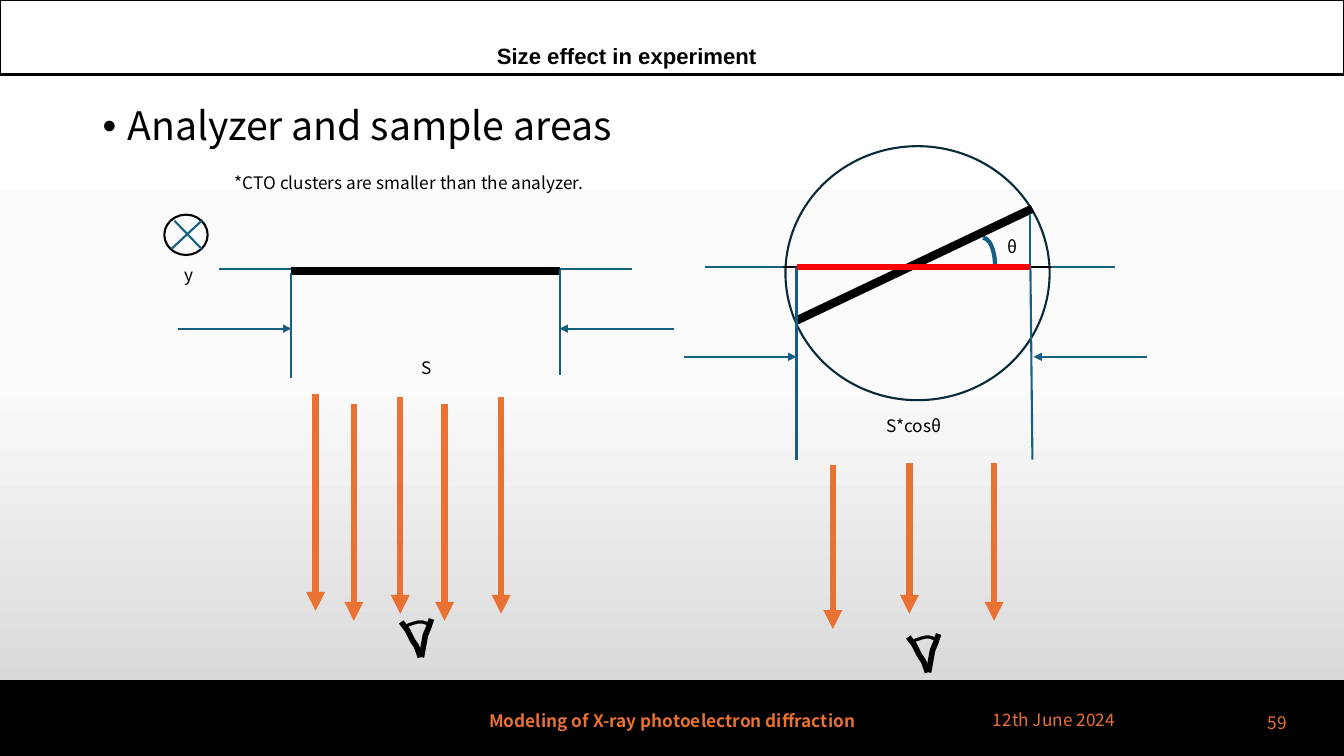
from copy import deepcopy
from pptx import Presentation
from pptx.dml.color import RGBColor
from pptx.enum.shapes import MSO_CONNECTOR, MSO_SHAPE
from pptx.enum.text import MSO_ANCHOR, PP_ALIGN
from pptx.oxml.ns import qn
from pptx.oxml.xmlchemy import OxmlElement
from pptx.util import Inches, Pt

INK = {"black": "000000", "white": "FFFFFF", "blue": "156082", "navy": "092A39",
       "red": "FF0000", "orange": "E97132"}
FADE = [(0, "FFFFFF"), (0.5, "FBFBFB"), (1, "D1D1D1")]
FONT = "Noto Sans CJK JP"
WIDE, HIGH, BAND = 13.33, 7.5, 0.74

TITLE = ("Size effect in experiment", 4.83, 0.3, 5.94, 0.41)
TOPIC = ("Analyzer and sample areas", 0.92, 1.01, 11.5, 4.76)
LABELS = [
    ("θ", 9.89, 2.29, 0.36, 0.31),
    ("S", 4.08, 3.5, 1.24, 0.31),
    ("S*cosθ", 8.69, 4.07, 1.24, 0.31),
    ("y", 1.73, 2.57, 0.35, 0.31),
    ("*CTO clusters are smaller than the analyzer.", 2.23, 1.66, 4.35, 0.31),
]
FOOTER = [
    ("12th June 2024", 9.75, 6.94, 1.83, 0.4, PP_ALIGN.LEFT, False),
    ("Modeling of X-ray photoelectron diffraction", 4.42, 6.95, 4.5, 0.4, PP_ALIGN.CENTER, True),
    ("59", 12.42, 6.97, 0.44, 0.4, PP_ALIGN.RIGHT, False),
]
ROUNDS = [
    (MSO_SHAPE.FLOWCHART_CONNECTOR, 7.79, 1.45, 2.62, 2.52, "navy", 1.5),
    (MSO_SHAPE.ARC, 9.63, 2.36, 0.24, 0.56, "blue", 3),
    (MSO_SHAPE.FLOWCHART_CONNECTOR, 1.63, 2.13, 0.43, 0.4, "black", 1.5),
]
LINES = [
    (2.17, 2.67, 6.27, 2.67, "blue", 1.5),
    (2.89, 2.69, 5.55, 2.69, "black", 6),
    (6.99, 2.65, 11.06, 2.65, "blue", 1.5),
    (7.77, 2.65, 10.42, 2.65, "black", 1.5),
    (7.9, 3.18, 10.24, 2.07, "black", 6),
    (7.9, 3.17, 7.9, 2.65, "blue", 1.5),
    (10.22, 2.65, 10.22, 2.13, "blue", 1.5),
    (7.9, 2.65, 10.22, 2.65, "red", 4.5),
    (2.89, 2.71, 2.89, 3.75, "blue", 1.5),
    (5.55, 2.67, 5.55, 3.72, "blue", 1.5),
    (7.9, 2.87, 7.9, 4.56, "blue", 1.5),
    (10.22, 2.65, 10.24, 4.56, "blue", 1.5),
    (2, 2.19, 1.7, 2.47, "blue", 1.5),
    (1.73, 2.19, 2, 2.47, "blue", 1.5),
]
GAUGES = [(1.77, 2.89, 3.26), (6.68, 5.55, 3.26), (6.78, 7.9, 3.54), (11.38, 10.25, 3.54)]
BEAMS = [(3.51, 4.01, 6.16), (3.97, 3.94, 6.09), (4.41, 4.01, 6.16), (4.97, 3.94, 6.09),
         (3.13, 3.91, 6.06), (9.86, 4.59, 6.16), (9.02, 4.59, 6.09), (8.26, 4.61, 6.24)]
EYES = [(0, 0), (5.03, 0.15)]
LIDS = [
    [(4.17, 6.52), (4.13, 6.41), (4.09, 6.35), (4.04, 6.25), (3.98, 6.17)],
    [(4.18, 6.52), (4.2, 6.41), (4.22, 6.3), (4.25, 6.23), (4.28, 6.14)],
]
IRIS = [[(4.02, 6.22), (4.05, 6.2), (4.08, 6.19), (4.11, 6.18), (4.15, 6.17),
         (4.19, 6.17), (4.22, 6.18), (4.25, 6.19)]]


def tint(name):
    return RGBColor.from_string(INK[name])


def stroke(item, color, width):
    item.line.color.rgb = tint(color)
    item.line.width = Pt(width)


def shape(slide, kind, x, y, w, h, color, width, fill=None):
    item = slide.shapes.add_shape(kind, *map(Inches, (x, y, w, h)))
    item.shadow.inherit = False
    if fill:
        item.fill.solid()
        item.fill.fore_color.rgb = tint(fill)
    else:
        item.fill.background()
    stroke(item, color, width)


def line(slide, x1, y1, x2, y2, color, width, head=False):
    item = slide.shapes.add_connector(MSO_CONNECTOR.STRAIGHT, *map(Inches, (x1, y1, x2, y2)))
    stroke(item, color, width)
    if head:
        tail = OxmlElement("a:tailEnd")
        tail.set("type", "triangle")
        item.line._get_or_add_ln().append(tail)
    item._element.spPr.append(OxmlElement("a:effectLst"))


def curve(slide, paths, dx, dy, width):
    pen = None
    for path in paths:
        spots = [(Inches(x + dx), Inches(y + dy)) for x, y in path]
        if pen is None:
            pen = slide.shapes.build_freeform(*spots[0], scale=1.0)
        else:
            pen.move_to(*spots[0])
        pen.add_line_segments(spots[1:], close=False)
    item = pen.convert_to_shape()
    item.shadow.inherit = False
    item.fill.background()
    stroke(item, "black", width)


def text(slide, words, x, y, w, h, size=12.3, color="black", bold=False,
         align=PP_ALIGN.LEFT, font=FONT, anchor=MSO_ANCHOR.TOP):
    frame = slide.shapes.add_textbox(*map(Inches, (x, y, w, h))).text_frame
    frame.word_wrap = True
    frame.vertical_anchor = anchor
    para = frame.paragraphs[0]
    para.text = words
    para.alignment = align
    run = para.runs[0]
    run.font.size = Pt(size)
    run.font.name = font
    run.font.bold = bold
    run.font.color.rgb = tint(color)
    props = run._r.get_or_add_rPr()
    for tag in ("a:ea", "a:cs"):
        face = OxmlElement(tag)
        face.set("typeface", font)
        props.append(face)
    return para


def backdrop(slide):
    fill = slide.background.fill
    fill.gradient()
    fill.gradient_angle = 270
    stops = slide._element.find(".//" + qn("a:gsLst"))
    stops.append(deepcopy(stops[-1]))
    for stop, (place, shade) in zip(fill.gradient_stops, FADE):
        stop.position = place
        stop.color.rgb = RGBColor.from_string(shade)


def main():
    deck = Presentation()
    deck.slide_width, deck.slide_height = Inches(WIDE), Inches(HIGH)
    slide = deck.slides.add_slide(deck.slide_layouts[6])
    backdrop(slide)
    for top, fill in ((0, "white"), (HIGH - BAND, "black")):
        shape(slide, MSO_SHAPE.RECTANGLE, 0, top, WIDE, BAND, "black", 1.5, fill)
    line(slide, 0, BAND, WIDE, BAND, "black", 1.5)

    head = text(slide, *TITLE, size=27.3, bold=True, font="Arial")
    head.runs[0]._r.get_or_add_rPr().set("baseline", "23000")
    topic = text(slide, *TOPIC, size=28)
    topic.line_spacing = 0.9
    props = topic._p.get_or_add_pPr()
    props.set("marL", str(Inches(0.25)))
    props.set("indent", str(-Inches(0.25)))
    face = OxmlElement("a:buFont")
    face.set("typeface", "Arial")
    dot = OxmlElement("a:buChar")
    dot.set("char", "•")
    props.extend([face, dot])

    for words, x, y, w, h, align, bold in FOOTER:
        text(slide, words, x, y, w, h, color="orange", bold=bold, align=align,
             anchor=MSO_ANCHOR.MIDDLE)
    for item in ROUNDS:
        shape(slide, *item)
    for dx, dy in EYES:
        curve(slide, LIDS, dx, dy, 4)
        curve(slide, IRIS, dx, dy, 2.25)
    for item in LINES:
        line(slide, *item)
    for start, end, y in GAUGES:
        line(slide, start, y, end, y, "blue", 1.5, True)
    for x, top, foot in BEAMS:
        line(slide, x, top, x, foot, "orange", 4.5, True)
    for item in LABELS:
        text(slide, *item)
    deck.save("out.pptx")


if __name__ == "__main__":
    main()
